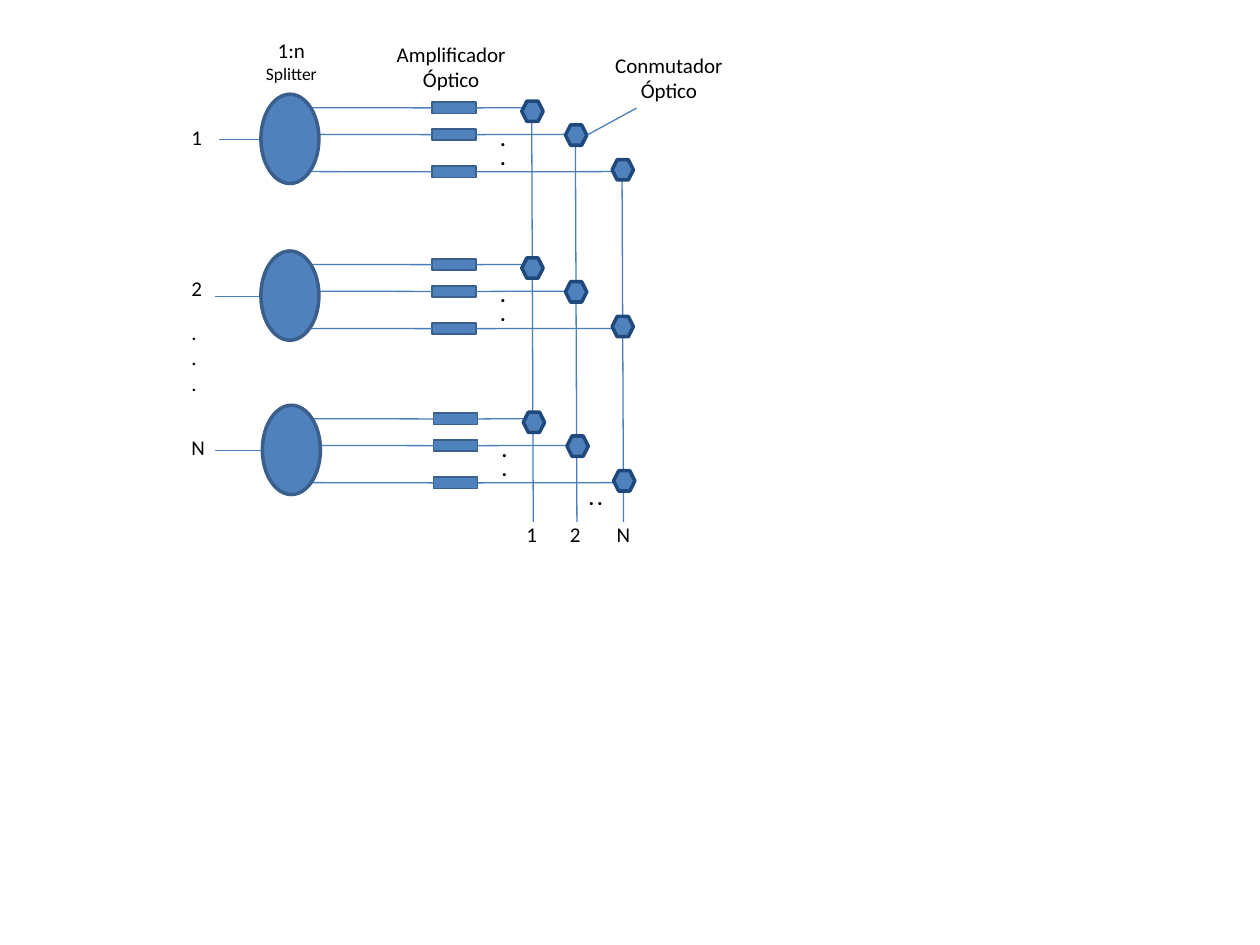
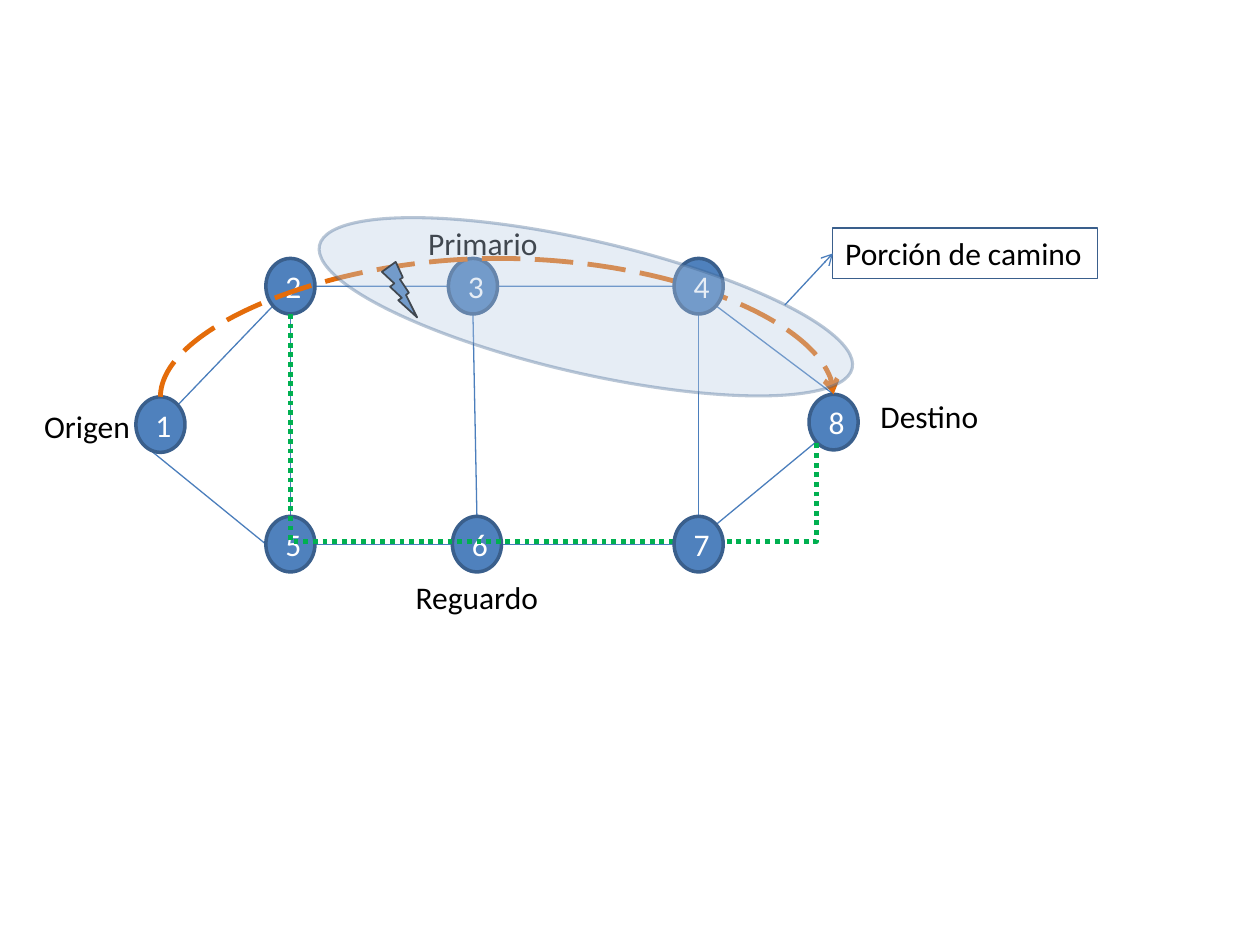
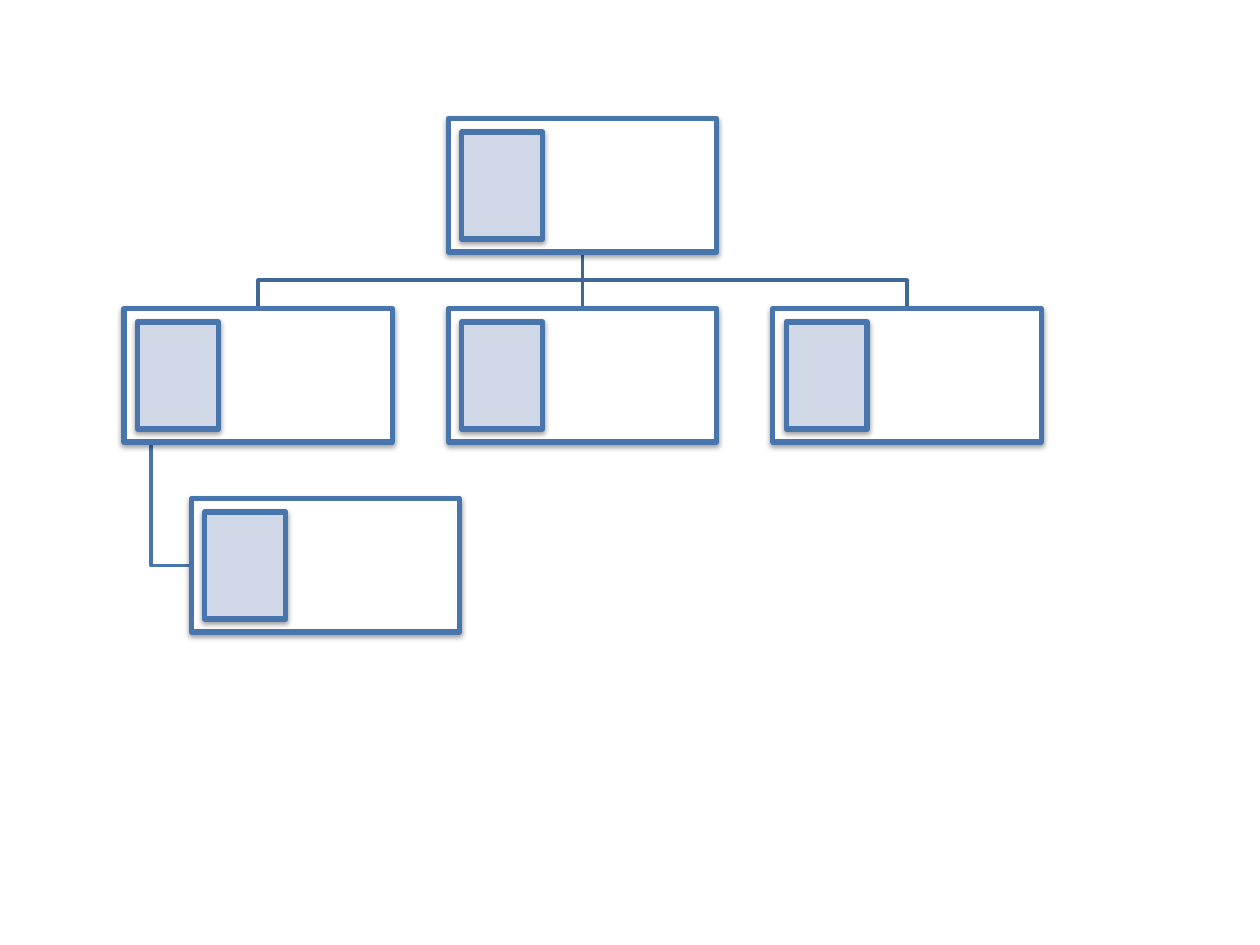
from dataclasses import dataclass
from math import cos, radians, sin

from lxml.etree import SubElement
from pptx import Presentation
from pptx.dml.color import RGBColor
from pptx.enum.dml import MSO_LINE
from pptx.enum.shapes import MSO_CONNECTOR, MSO_SHAPE
from pptx.enum.text import MSO_AUTO_SIZE, PP_ALIGN
from pptx.oxml.ns import qn
from pptx.util import Cm, Pt


@dataclass(frozen=True)
class Theme:
    blue: str = "4F81BD"
    edge: str = "3A5F8C"
    navy: str = "1F497D"
    wire: str = "4B7EBC"
    pale: str = "B9CDE5"
    black: str = "000000"
    white: str = "FFFFFF"
    main: str = "E46C0A"
    spare: str = "00B050"
    frame: str = "4875AC"
    photo: str = "D0D8E8"
    trunk: str = "3F6797"
    label: tuple = ("Calibri", 12, "000000", False)
    body: tuple = ("Calibri", 18, "000000", False)
    node: tuple = ("Calibri", 18, "FFFFFF", False)
    dots: tuple = ("Montserrat", 9, "000000", True)
    small: int = 10


theme = Theme()


def draw(page, kind, box, fill=None, edge=None, width=1, text="", face=theme.label, mid=False):
    place = [Cm(n) for n in box]
    if kind is None:
        shape = page.shapes.add_textbox(*place)
        shape.text_frame.word_wrap = mid
        shape.text_frame.auto_size = MSO_AUTO_SIZE.SHAPE_TO_FIT_TEXT
    else:
        shape = page.shapes.add_shape(kind, *place)
        shape.shadow.inherit = False
    if fill:
        shape.fill.solid()
        shape.fill.fore_color.rgb = RGBColor.from_string(fill)
    if edge:
        shape.line.color.rgb = RGBColor.from_string(edge)
        shape.line.width = Pt(width)
    if text:
        frame = shape.text_frame
        frame.text = text
        if face == theme.dots:
            frame.margin_left, frame.margin_right = Cm(0.3), Cm(0.2)
            frame.margin_top = frame.margin_bottom = 0
        for para in frame.paragraphs:
            para.alignment = PP_ALIGN.CENTER if mid else PP_ALIGN.LEFT
            for run in para.runs:
                font = run.font
                font.name, font.bold = face[0], face[3]
                font.size = Pt(face[1])
                font.color.rgb = RGBColor.from_string(face[2])
    return shape


def link(page, start, end, color=theme.wire, width=0.75, kind=MSO_CONNECTOR.STRAIGHT, dash=None, arrow=False):
    line = page.shapes.add_connector(kind, *[Cm(n) for n in (*start, *end)])
    line.line.color.rgb = RGBColor.from_string(color)
    line.line.width = Pt(width)
    if dash:
        line.line.dash_style = dash
    props = line.element.spPr
    if arrow:
        SubElement(props.find(qn("a:ln")), qn("a:tailEnd"), type="arrow")
    SubElement(props, qn("a:effectLst"))
    return line


deck = Presentation()
deck.slide_width, deck.slide_height = Cm(25.4), Cm(19.05)
blank = deck.slide_layouts[6]

page = deck.slides.add_slide(blank)
cols = [10.52, 11.4, 12.34]
drops = [0.14, 0.62, 1.32]
rows = [("1", 1.9, 0, 4.42, 2.39), ("2", 5.06, 0, 4.34, 5.44), ("N", 8.17, 0.03, 4.34, 8.64)]

for name, x, drop in zip("12N", cols, drops):
    link(page, (x + 0.2, rows[0][1] + drop + 0.41), (x + 0.23, 10.52))
    draw(page, None, (x - 0.16, 10.39, 0.85, 0.86), text=name)

for name, top, shift, start, high in rows:
    draw(page, None, (3.61, high, 0.85, 0.86), text=name)
    link(page, (start, top + 0.91), (5.26 + shift, top + 0.91))
    for x, drop, amp, port in zip(cols, drops, (0.16, 0.7, 1.45), (6.27, 6.43, 6.27)):
        y = top + amp
        box = draw(page, MSO_SHAPE.RECTANGLE, (8.71 + shift, y, 0.89, 0.23), theme.blue, theme.edge)
        y += 0.11
        link(page, (port + shift, y), (8.71 + shift, y)).end_connect(box, 1)
        link(page, (9.6 + shift, y), (x + shift, y)).begin_connect(box, 3)
        draw(page, MSO_SHAPE.HEXAGON, (x + shift, top + drop, 0.43, 0.41), theme.blue, theme.navy, 2)
    draw(page, MSO_SHAPE.OVAL, (5.26 + shift, top, 1.17, 1.8), theme.blue, theme.edge, 2)
    draw(page, None, (9.8 + shift, top + 0.73, 0.66, 0.79), text=".\n.", face=theme.dots)

draw(page, None, (11.58, 9.88, 0.91, 0.43), text=". .", face=theme.dots)
draw(page, None, (3.61, 6.32, 0.76, 2.03), text=".\n.\n.").text_frame.word_wrap = True
head = draw(page, None, (4.95, 0.64, 1.85, 1.35), text="1:n\nSplitter", mid=True)
head.text_frame.paragraphs[1].runs[0].font.size = Pt(theme.small)
draw(page, None, (7.47, 0.71, 3.25, 1.45), text="Amplificador\nÓptico", mid=True)
draw(page, None, (11.86, 0.94, 3.25, 1.45), text="Conmutador\nÓptico", mid=True)
link(page, (11.84, 2.72), (12.83, 2.18))

page = deck.slides.add_slide(blank)
wide, tall = 0.99, 1.12
spots = {
    1: (2.74, 8), 2: (5.36, 5.21), 3: (9.04, 5.21), 4: (13.59, 5.21),
    5: (5.36, 10.41), 6: (9.12, 10.41), 7: (13.59, 10.41), 8: (16.31, 7.95),
}
ports = {}
for node, (x, y) in spots.items():
    for side in range(8):
        turn = radians(90 + 45 * side)
        ports[node, side] = (x + wide / 2 * (1 + cos(turn)), y + tall / 2 * (1 - sin(turn)))

for a, out, b, into in [
    (1, 7, 2, 3), (1, 3, 5, 2), (2, 6, 3, 2), (2, 4, 5, 0), (3, 6, 4, 2), (3, 4, 6, 0),
    (4, 4, 7, 0), (4, 5, 8, 0), (5, 6, 6, 2), (6, 6, 7, 2), (7, 7, 8, 3),
]:
    link(page, ports[a, out], ports[b, into])

for group in ((1, 2, 3, 5, 6, 8), (4, 7)):
    for node in group:
        draw(page, MSO_SHAPE.OVAL, (*spots[node], wide, tall), theme.blue, theme.edge, 2, str(node), theme.node, True)
    if 4 in group:
        continue
    for start, end, bend, color, kind, dash, arrow, turn, flip in [
        (ports[1, 0], ports[8, 0], 5.21, theme.main, MSO_CONNECTOR.CURVE, MSO_LINE.LONG_DASH, True, 90, "1"),
        (ports[2, 4], ports[8, 3], 10.92, theme.spare, MSO_CONNECTOR.ELBOW, MSO_LINE.ROUND_DOT, False, 270, "0"),
    ]:
        path = link(page, start, end, color, 2.75, kind, dash, arrow)
        rise, run = abs(end[1] - start[1]), end[0] - start[0]
        path.left = Cm((start[0] + end[0] - rise) / 2)
        path.top = Cm((start[1] + end[1] - run) / 2)
        path.width, path.height = Cm(rise), Cm(run)
        form = path.element.spPr.find(qn("a:xfrm"))
        form.set("rot", str(turn * 60000))
        form.set("flipH", "1")
        form.set("flipV", flip)
        ratio = round((bend - start[1]) / (end[1] - start[1]) * 100000)
        SubElement(path.element.spPr.find(".//" + qn("a:avLst")), qn("a:gd"), name="adj1", fmla=f"val {ratio}")

for text, x, y, size in [
    ("Primario", 8.38, 4.39, 2.74), ("Reguardo", 8.13, 11.53, 3),
    ("Origen", 0.64, 8.08, 2.26), ("Destino", 17.5, 7.87, 2.51),
]:
    draw(page, None, (x, y, size, 1.02), text=text, face=theme.body)
draw(page, MSO_SHAPE.LIGHTNING_BOLT, (7.7, 5.28, 0.71, 1.12), theme.blue, theme.black)

zone = draw(page, MSO_SHAPE.OVAL, (6.3, 4.85, 11.02, 2.67), theme.pale, theme.edge, 1.75)
zone.rotation = 13
for color in zone.element.spPr.iter(qn("a:srgbClr")):
    SubElement(color, qn("a:alpha"), val="35000")
note = draw(page, None, (16.79, 4.6, 5.33, 1.02), None, theme.edge, 0.75, "Porción de camino", theme.body)
link(page, (15.82, 6.15), (16.79, 5.11), arrow=True).end_connect(note, 1)

page = deck.slides.add_slide(blank)
wide, tall = 5.41, 2.69
left, top = 2.5, 2.39
over, down = 6.54, 3.83
axis, foot = left + over + wide / 2, top + tall
row = top + down
fork = (foot + row) / 2
stem = link(page, (axis, foot), (axis, row), theme.trunk, 2)
for color, points in [
    (theme.trunk, [(axis, foot), (axis, fork), (axis + over, fork), (axis + over, row)]),
    (theme.frame, [(3.05, row + tall), (3.05, 11.4), (3.86, 11.4)]),
    (theme.trunk, [(axis, foot), (axis, fork), (axis - over, fork), (axis - over, row)]),
]:
    points = [(Cm(x), Cm(y)) for x, y in points]
    pen = page.shapes.build_freeform(*points[0])
    pen.add_line_segments(points[1:], close=False)
    branch = pen.convert_to_shape()
    branch.shadow.inherit = False
    branch.fill.background()
    branch.line.color.rgb = RGBColor.from_string(color)
    branch.line.width = Pt(2)

cards = []
for x, y in [(left + over, top), (left, row), (3.86, row + down), (left + over, row), (left + 2 * over, row)]:
    card = draw(page, MSO_SHAPE.RECTANGLE, (x, y, wide, tall), theme.white, theme.frame, 3)
    photo = draw(page, MSO_SHAPE.RECTANGLE, (x + 0.27, y + 0.27, 1.63, 2.16), theme.photo, theme.frame, 3)
    cards.append(card)
    for shape in (card, photo):
        glow = SubElement(
            shape.element.spPr.find(qn("a:effectLst")), qn("a:outerShdw"),
            blurRad=str(Pt(3.1)), dist=str(Pt(1.6)), dir="5400000", rotWithShape="0",
        )
        tint = SubElement(glow, qn("a:srgbClr"), val=theme.black)
        SubElement(tint, qn("a:alpha"), val="38000")
stem.begin_connect(cards[0], 2)
stem.end_connect(cards[3], 0)

deck.save("out.pptx")
